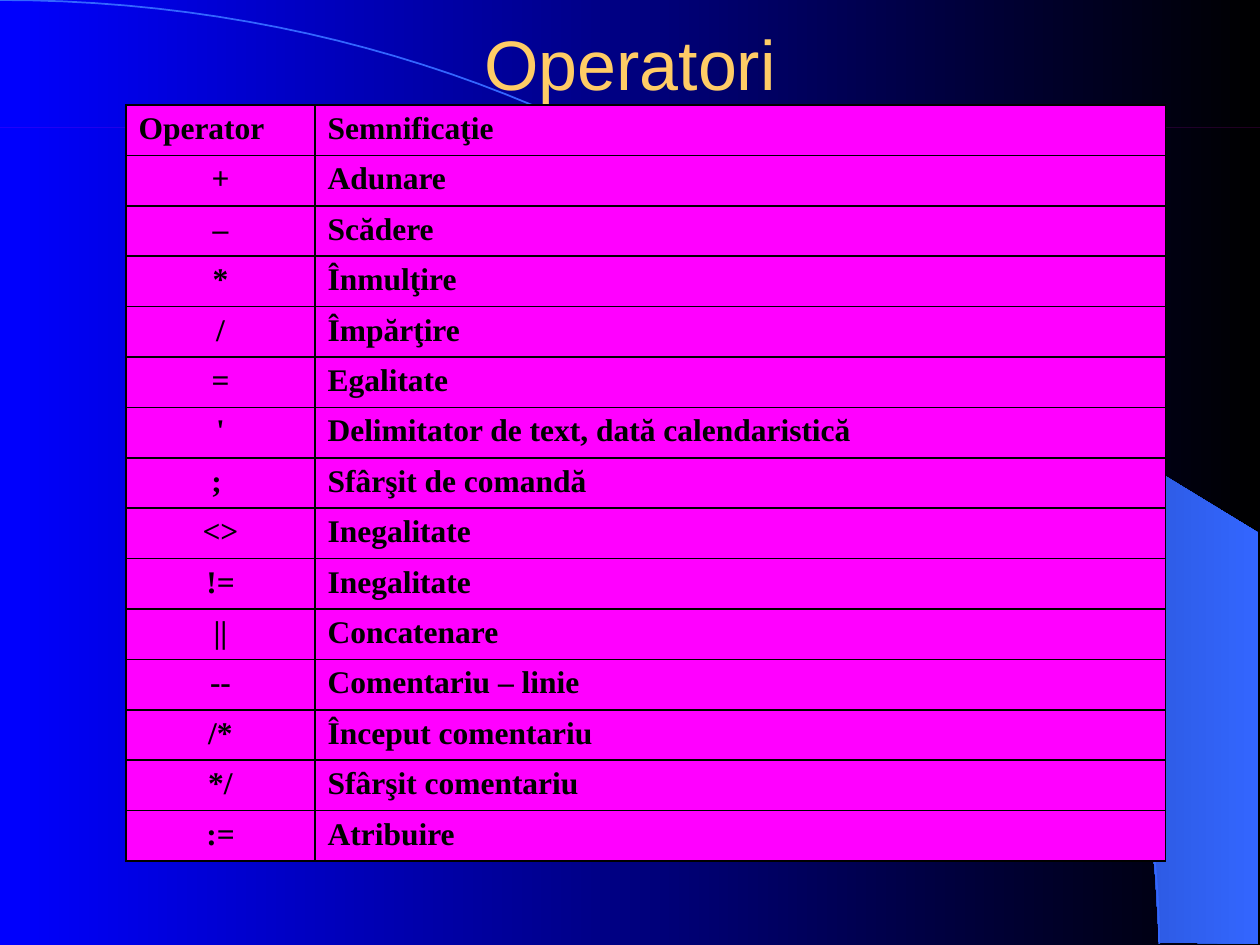
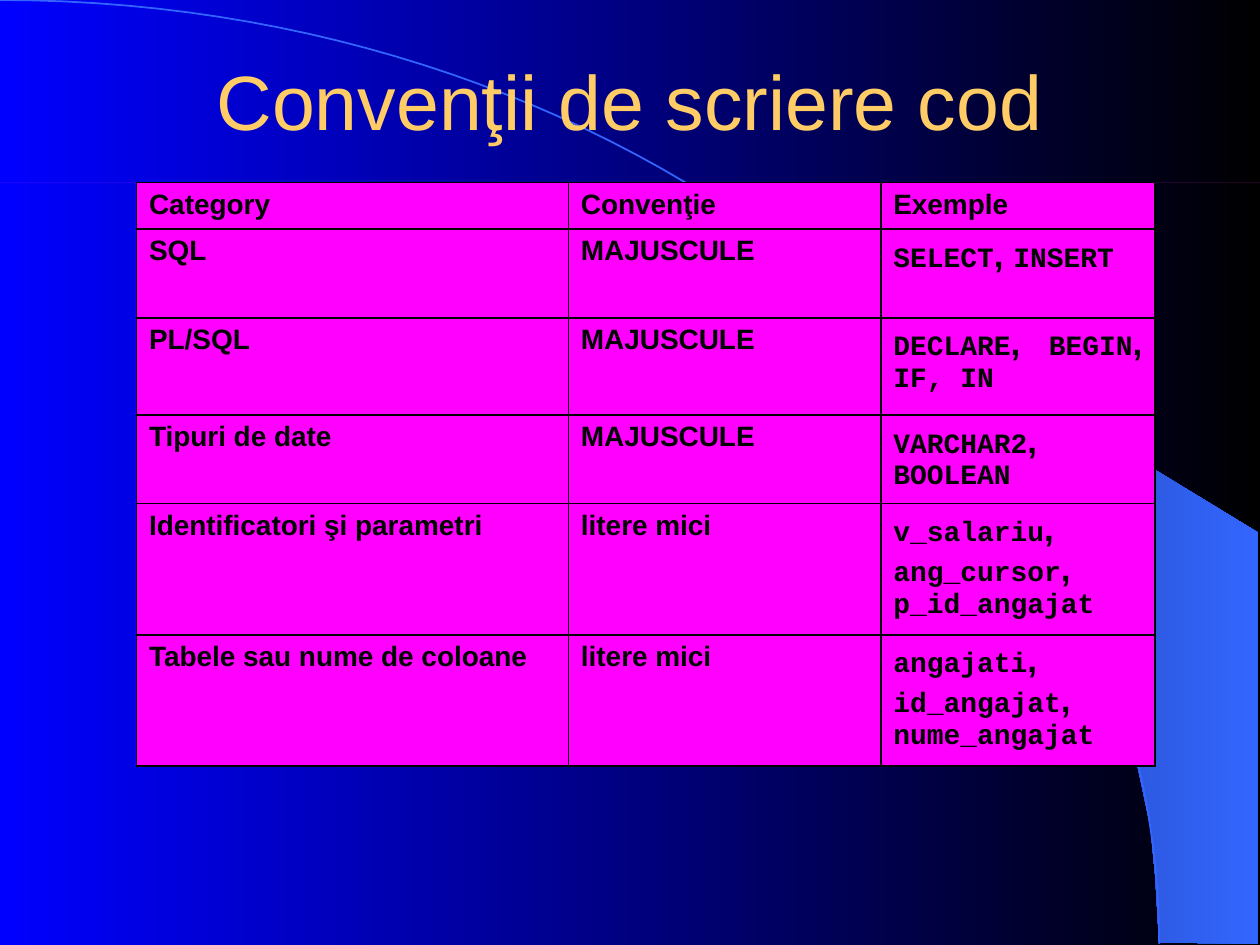
import pptx
import pptx.dml.color
import pptx.enum.shapes
import pptx.enum.text
import pptx.oxml
import pptx.oxml.ns
import pptx.util

Pt = pptx.util.Pt
RGBColor = pptx.dml.color.RGBColor
PP_ALIGN = pptx.enum.text.PP_ALIGN

# Shared look
BLUE = RGBColor(0x00, 0x00, 0xFF)
BLACK = RGBColor(0x00, 0x00, 0x00)
MAGENTA = RGBColor(0xFF, 0x00, 0xFF)
GOLD = RGBColor(0xFF, 0xCC, 0x66)
NAVY = RGBColor(0x18, 0x2F, 0x76)
SKY = RGBColor(0x33, 0x66, 0xFF)
SANS, SERIF, MONO = "Arial", "Times New Roman", "Courier New"
SLIDE_WIDTH, SLIDE_HEIGHT = 720, 540
BORDER_WIDTH = 0.96

# Backdrop outlines, in points
WEDGE = [
    (662.4, 538.6), (719.3, 539.3), (719.3, 304.6), (424.1, 124.6),
    (449.3, 143.3), (470.2, 159.8), (493.2, 180), (515.5, 201.6),
    (548.6, 237.6), (578.2, 276.5), (599, 310.3), (617.8, 344.9),
    (632.2, 380.2), (643, 411.8), (650.2, 438.5), (657.4, 472.3),
    (660.2, 501.1),
]
ARC_CONTROLS = [(0, 0), (365.8, 0), (662.4, 241.2), (662.4, 539.3)]
ARC_STEPS = 60

OPERATORS = [
    ("Operator", "Semnificaţie"),
    ("+", "Adunare"),
    ("–", "Scădere"),
    ("*", "Înmulţire"),
    ("/", "Împărţire"),
    ("=", "Egalitate"),
    ("'", "Delimitator de text, dată calendaristică"),
    ("; ", "Sfârşit de comandă"),
    ("<>", "Inegalitate"),
    ("!=", "Inegalitate"),
    ("||", "Concatenare"),
    ("--", "Comentariu – linie"),
    ("/*", "Început comentariu"),
    ("*/", "Sfârşit comentariu"),
    (":=", "Atribuire"),
]

# Category, convention, code examples
CONVENTIONS = [
    ("SQL", "MAJUSCULE", ["SELECT", "INSERT"]),
    ("PL/SQL", "MAJUSCULE", ["DECLARE", "BEGIN", "IF, IN"]),
    ("Tipuri de date", "MAJUSCULE", ["VARCHAR2", "BOOLEAN"]),
    ("Identificatori şi parametri", "litere mici",
     ["v_salariu", "ang_cursor", "p_id_angajat"]),
    ("Tabele sau nume de coloane", "litere mici",
     ["angajati", "id_angajat", "nume_angajat"]),
]


def set_gradient(fill, start, end):
    fill.gradient()
    fill.gradient_angle = 0
    for stop, color in zip(fill.gradient_stops, (start, end)):
        stop.color.rgb = color


def arc_points():
    """Points along the cubic curve given by ARC_CONTROLS."""
    points = []
    for step in range(ARC_STEPS + 1):
        t = step / ARC_STEPS
        weights = ((1 - t) ** 3, 3 * t * (1 - t) ** 2, 3 * t * t * (1 - t), t ** 3)
        points.append(tuple(sum(w * p[axis] for w, p in zip(weights, ARC_CONTROLS))
                            for axis in (0, 1)))
    return points


def add_outline(slide, points, close):
    corners = [(Pt(x), Pt(y)) for x, y in points]
    builder = slide.shapes.build_freeform(*corners[0])
    builder.add_line_segments(corners[1:], close=close)
    outline = builder.convert_to_shape()
    outline.shadow.inherit = False
    return outline


def add_backdrop(slide):
    wedge = add_outline(slide, WEDGE, close=True)
    set_gradient(wedge.fill, NAVY, SKY)
    wedge.line.fill.background()

    arc = add_outline(slide, arc_points(), close=False)
    arc.fill.background()
    arc.line.color.rgb = SKY
    arc.line.width = Pt(1)

    # Send both behind the title
    tree = slide.shapes.title._element.getparent()
    for position, piece in enumerate((wedge, arc), start=2):
        tree.insert(position, piece._element)


def add_run(paragraph, text, font_name, size, color, bold=False):
    run = paragraph.add_run()
    run.text = text
    run.font.name = font_name
    run.font.size = Pt(size)
    run.font.color.rgb = color
    run.font.bold = bold


def set_title(slide, text, height, size):
    title = slide.shapes.title
    title.left, title.top = Pt(54), Pt(18)
    title.width, title.height = Pt(612), Pt(height)
    frame = title.text_frame
    frame.auto_size = pptx.enum.text.MSO_AUTO_SIZE.NONE
    frame.vertical_anchor = pptx.enum.text.MSO_ANCHOR.MIDDLE
    heading = frame.paragraphs[0]
    heading.alignment = PP_ALIGN.CENTER
    add_run(heading, text, SANS, size, GOLD)


def add_hairline(slide, top):
    hairline = slide.shapes.add_shape(
        pptx.enum.shapes.MSO_SHAPE.RECTANGLE, 0, Pt(top), Pt(SLIDE_WIDTH), 0)
    hairline.shadow.inherit = False
    hairline.fill.solid()
    hairline.fill.fore_color.rgb = MAGENTA
    hairline.line.fill.background()


def style_cell(cell):
    properties = cell._tc.get_or_add_tcPr()
    for side in ("lnL", "lnR", "lnT", "lnB"):
        properties.append(pptx.oxml.parse_xml(
            f'<a:{side} {pptx.oxml.ns.nsdecls("a")} w="{Pt(BORDER_WIDTH)}">'
            f'<a:solidFill><a:srgbClr val="{BLACK}"/></a:solidFill></a:{side}>'))
    cell.fill.solid()
    cell.fill.fore_color.rgb = MAGENTA


def add_grid(slide, left, top, widths, heights):
    grid = slide.shapes.add_table(
        len(heights), len(widths), Pt(left), Pt(top),
        Pt(sum(widths)), Pt(sum(heights))).table
    for column, width in zip(grid.columns, widths):
        column.width = Pt(width)
    for row, height in zip(grid.rows, heights):
        row.height = Pt(height)
    for cell in grid.iter_cells():
        style_cell(cell)
    return grid


def fill_cell(cell, text, font_name, size, alignment=PP_ALIGN.JUSTIFY):
    entry = cell.text_frame.paragraphs[0]
    entry.alignment = alignment
    add_run(entry, text, font_name, size, BLACK, bold=True)


def fill_examples(cell, examples):
    entry = cell.text_frame.paragraphs[0]
    entry.alignment = PP_ALIGN.JUSTIFY
    for number, example in enumerate(examples):
        if number:
            add_run(entry, ", ", SANS, 20, BLACK, bold=True)
        add_run(entry, example, MONO, 16, BLACK, bold=True)


def add_slide(deck, title, title_height, title_size, hairline_top):
    slide = deck.slides.add_slide(deck.slide_layouts[5])
    add_backdrop(slide)
    set_title(slide, title, title_height, title_size)
    add_hairline(slide, hairline_top)
    return slide


def add_operators_slide(deck):
    slide = add_slide(deck, "Operatori", 36, 40, 72.7)
    grid = add_grid(slide, 72, 60, [108, 486], [28.8] * len(OPERATORS))
    for row, (operator, meaning) in enumerate(OPERATORS):
        alignment = PP_ALIGN.CENTER if row else PP_ALIGN.JUSTIFY
        fill_cell(grid.cell(row, 0), operator, SERIF, 18, alignment)
        fill_cell(grid.cell(row, 1), meaning, SERIF, 18)


def add_conventions_slide(deck):
    slide = add_slide(deck, "Convenţii de scriere cod", 78, 44, 104.4)
    grid = add_grid(slide, 78, 104.4, [246.8, 178.5, 156.7],
                    [26.6, 50.6, 55.6, 50.6, 75, 75])
    for column, heading in enumerate(("Category", "Convenţie", "Exemple")):
        fill_cell(grid.cell(0, column), heading, SANS, 16)
    for row, (category, convention, examples) in enumerate(CONVENTIONS, start=1):
        fill_cell(grid.cell(row, 0), category, SANS, 16)
        fill_cell(grid.cell(row, 1), convention, SANS, 16)
        fill_examples(grid.cell(row, 2), examples)


def main():
    deck = pptx.Presentation()
    deck.slide_width, deck.slide_height = Pt(SLIDE_WIDTH), Pt(SLIDE_HEIGHT)
    set_gradient(deck.slide_master.background.fill, BLUE, BLACK)
    add_operators_slide(deck)
    add_conventions_slide(deck)
    deck.save("out.pptx")


if __name__ == "__main__":
    main()
